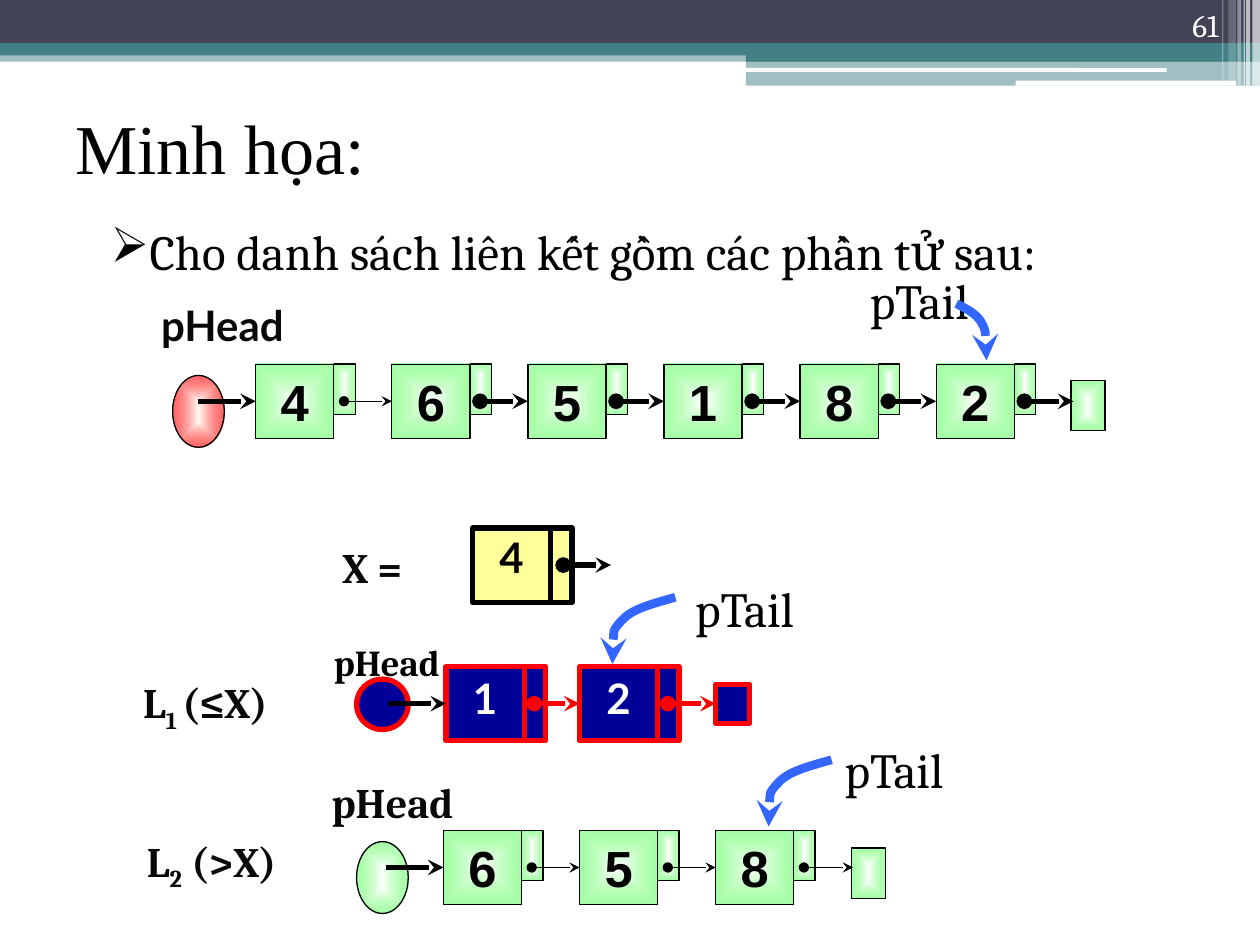
from collections import namedtuple

from lxml.etree import SubElement
from pptx import Presentation
from pptx.dml.color import RGBColor
from pptx.enum.shapes import MSO_CONNECTOR, MSO_SHAPE
from pptx.enum.text import MSO_ANCHOR, PP_ALIGN
from pptx.oxml import parse_xml
from pptx.oxml.ns import nsdecls, qn
from pptx.util import Inches, Pt

SLIDE_WIDTH, SLIDE_HEIGHT = Inches(10), Inches(7.5)
COLUMN, ROW = SLIDE_WIDTH / 10, SLIDE_HEIGHT / 7.5

BLACK = RGBColor(0x00, 0x00, 0x00)
INK = RGBColor(0x08, 0x08, 0x08)
WHITE = RGBColor(0xFF, 0xFF, 0xFF)
IVORY = RGBColor(0xFF, 0xFF, 0xF7)
SLATE = RGBColor(0x42, 0x44, 0x56)
TEAL = RGBColor(0x43, 0x80, 0x86)
GREEN = RGBColor(0x69, 0xFF, 0x69)
RED = RGBColor(0xFF, 0x00, 0x00)
NAVY = RGBColor(0x00, 0x00, 0x99)
YELLOW = RGBColor(0xFF, 0xFF, 0x99)
BLUE = RGBColor(0x33, 0x66, 0xFF)

Style = namedtuple("Style", "fill edge weight font size ink pointer_height margins")
GREEN_NODE = Style((WHITE, GREEN), BLACK, 0.75, "Arial", 29, BLACK, 0.4, (0.1, 0.05))
NAVY_NODE = Style(NAVY, RED, 3, "Lato", 24, WHITE, 0.59, (0.1, 0.05))
YELLOW_NODE = Style(YELLOW, BLACK, 3, "Lato", 24, BLACK, 0.59, (0, 0.03))

NODE_WIDTH, NODE_HEIGHT, POINTER_WIDTH = 0.62, 0.59, 0.17
ARROW_START, ARROW_END = 0.7, 1.09
MIDDLE = NODE_HEIGHT / 2

BEND_RIGHT = [(0.08, 0.04), (0.16, 0.08), (0.2, 0.15), (0.24, 0.23), (0.24, 0.34), (0.24, 0.45)]
BEND_LEFT = [(-0.17, 0.05), (-0.34, 0.09), (-0.42, 0.18), (-0.51, 0.27), (-0.5, 0.4), (-0.5, 0.53)]

BANDS = [
    (0, 0.4, 10, 0.09, TEAL, 50), (0, 0, 10, 0.34, SLATE, 100),
    (0, 0.34, 10, 0.1, TEAL, 100), (5.92, 0.39, 4.08, 0.1, TEAL, 100),
    (5.92, 0.48, 4.08, 0.2, TEAL, 50),
]
RULES = [(5.91, 0.54, 3.35, 0.03), (8.06, 0.64, 1.75, 0.04)]
STRIPES = [
    (9.94, 0.06, 0.68, 65), (9.89, 0.03, 0.68, 65), (9.87, 0.01, 0.68, 60),
    (9.82, 0.03, 0.68, 40), (9.75, 0.06, 0.64, 20), (9.7, 0.01, 0.64, 30),
]


def place(*lengths):
    return [round(length * unit) for length, unit in zip(lengths, (COLUMN, ROW) * 2)]


def set_gradient(shape, inner, outer):
    shape.fill.gradient()
    properties = shape.element.spPr
    properties.replace(properties.find(qn("a:gradFill")), parse_xml(
        f'<a:gradFill {nsdecls("a")} rotWithShape="1"><a:gsLst>'
        f'<a:gs pos="0"><a:srgbClr val="{inner}"/></a:gs>'
        f'<a:gs pos="100000"><a:srgbClr val="{outer}"><a:alpha val="60000"/></a:srgbClr></a:gs>'
        '</a:gsLst><a:path path="shape">'
        '<a:fillToRect l="50000" t="50000" r="50000" b="50000"/></a:path></a:gradFill>'))


def add_box(shapes, kind, spot, fill, edge=None, weight=0, opacity=100):
    box = shapes.add_shape(kind, *place(*spot))
    box.shadow.inherit = False
    if isinstance(fill, RGBColor):
        box.fill.solid()
        box.fill.fore_color.rgb = fill
    else:
        set_gradient(box, *fill)
    if opacity < 100:
        color = box.element.spPr.find(qn("a:solidFill"))[0]
        SubElement(color, qn("a:alpha")).set("val", str(opacity * 1000))
    if edge is None:
        box.line.fill.background()
    else:
        box.line.color.rgb = edge
        box.line.width = Pt(weight)
    return box


def write(box, spans, font, size, ink, bold=False, align=PP_ALIGN.CENTER,
          anchor=MSO_ANCHOR.TOP, margins=(0, 0)):
    frame = box.text_frame
    frame.word_wrap = True
    frame.vertical_anchor = anchor
    frame.margin_left = frame.margin_right = Inches(margins[0])
    frame.margin_top = frame.margin_bottom = Inches(margins[1])
    para = frame.paragraphs[0]
    para.alignment = align
    for text, baseline in spans:
        span = para.add_run()
        span.text = text
        span.font.name = font
        span.font.size = Pt(size)
        span.font.bold = bold
        span.font.color.rgb = ink
        if baseline:
            span._r.get_or_add_rPr().set("baseline", str(baseline * 1000))
    return para


def add_label(shapes, spot, text, size=24, ink=INK, bold=True, font="Cambria", **layout):
    spans = [(text, 0)] if isinstance(text, str) else text
    return write(shapes.add_textbox(*place(*spot)), spans, font, size, ink, bold, **layout)


def draw_line(shape, color, weight, head=None):
    shape.line.color.rgb = color
    shape.line.width = Pt(weight)
    outline = shape.element.spPr.find(qn("a:ln"))
    if head:
        SubElement(outline, qn("a:headEnd")).set("type", head)
    SubElement(outline, qn("a:tailEnd")).set("type", "stealth")


def add_arrow(shapes, start, end, top, color, weight, head=None, target=None):
    arrow = shapes.add_connector(MSO_CONNECTOR.STRAIGHT, *place(start, top, end, top))
    SubElement(arrow.element.spPr, qn("a:effectLst"))
    draw_line(arrow, color, weight, head)
    if target is not None:
        arrow.end_connect(target, 1)


def add_bend(shapes, left, top, controls):
    builder = shapes.build_freeform(*place(left, top))
    builder.add_line_segments([place(left + x, top + y) for x, y in controls], close=False)
    bend = builder.convert_to_shape()
    bend.shadow.inherit = False
    bend.fill.background()
    draw_line(bend, BLUE, 5)
    outline = next(bend.element.iter(qn("a:path")))
    segments = outline.findall(qn("a:lnTo"))
    for first in range(0, len(segments), 3):
        curve = SubElement(outline, qn("a:cubicBezTo"))
        for segment in segments[first:first + 3]:
            curve.append(segment[0])
            outline.remove(segment)


def add_node(shapes, left, top, value, style):
    look = style.fill, style.edge, style.weight
    add_box(shapes, MSO_SHAPE.RECTANGLE,
            (left + NODE_WIDTH, top, POINTER_WIDTH, style.pointer_height), *look)
    cell = add_box(shapes, MSO_SHAPE.RECTANGLE, (left, top, NODE_WIDTH, NODE_HEIGHT), *look)
    write(cell, [(value, 0)], style.font, style.size, style.ink, True, margins=style.margins)
    return cell


def add_list(shapes, left, top, pitch, values, style, weights, head, end):
    look = style.edge, style.weight
    head_left, head_top, head_height, head_fill = head
    end_left, end_top, end_height = end
    add_box(shapes, MSO_SHAPE.OVAL, (head_left, top + head_top, 0.41, head_height),
            head_fill, *look)
    lefts = [left + pitch * index for index in range(len(values))]
    cells = [add_node(shapes, x, top, value, style) for x, value in zip(lefts, values)]
    end_box = add_box(shapes, MSO_SHAPE.RECTANGLE,
                      (end_left, top + end_top, 0.27, end_height), style.fill, *look)
    middle = top + MIDDLE
    add_arrow(shapes, left - 0.46, left, middle, BLACK, 3, target=cells[0])
    last_target = end_box if style is NAVY_NODE else None
    for x, target, weight in zip(lefts, cells[1:] + [last_target], weights):
        add_arrow(shapes, x + ARROW_START, x + ARROW_END, middle, style.edge, weight,
                  "oval", target)


def add_tail(shapes, spot, bend_start, controls):
    add_label(shapes, spot, "pTail", 28, BLACK, False)
    add_bend(shapes, *bend_start, controls)


def add_header(shapes):
    for *spot, color, opacity in BANDS:
        add_box(shapes, MSO_SHAPE.RECTANGLE, spot, color, opacity=opacity)
    for spot in RULES:
        add_box(shapes, MSO_SHAPE.ROUNDED_RECTANGLE, spot, WHITE)
    for left, width, height, opacity in STRIPES:
        add_box(shapes, MSO_SHAPE.RECTANGLE, (left, 0, width, height), WHITE, opacity=opacity)
    add_label(shapes, (8.94, 0, 0.83, 0.4), "61", 18, WHITE, False, align=PP_ALIGN.RIGHT,
              anchor=MSO_ANCHOR.BOTTOM, margins=(0.1, 0.05))


def add_heading(shapes):
    add_label(shapes, (0.5, 0.58, 9, 1.17), "Minh họa:", 40, BLACK, False, "Times New Roman",
              align=PP_ALIGN.LEFT, anchor=MSO_ANCHOR.MIDDLE, margins=(0.1, 0.05))
    para = add_label(shapes, (0.78, 1.71, 8.92, 0.57),
                     "Cho danh sách liên kết gồm các phần tử sau:", 28, BLACK, False,
                     align=PP_ALIGN.LEFT, margins=(0.1, 0.05))
    properties = para._p.get_or_add_pPr()
    properties.set("marL", str(Inches(0.3)))
    properties.set("indent", str(-Inches(0.3)))
    SubElement(properties, qn("a:buChar")).set("char", "➢")


def main():
    deck = Presentation()
    deck.slide_width, deck.slide_height = SLIDE_WIDTH, SLIDE_HEIGHT
    page = deck.slides.add_slide(deck.slide_layouts[6])
    add_header(page.shapes)
    add_heading(page.shapes)

    add_list(page.shapes, 2.03, 2.89, 1.08, "465182", GREEN_NODE, [0.75] + [3] * 5,
             (1.37, 0.09, 0.57, (IVORY, RED)), (8.5, 0.13, 0.4))
    add_label(page.shapes, (1.22, 2.38, 1.09, 0.46), "pHead", font="Lato")
    add_tail(page.shapes, (6.75, 2.15, 1.09, 0.35), (7.59, 2.41), BEND_RIGHT)

    pivot = page.shapes.add_group_shape().shapes
    add_label(pivot, (2.56, 4.3, 0.79, 0.43), "X =")
    add_node(pivot, 3.75, 4.19, "4", YELLOW_NODE)
    add_arrow(pivot, 4.47, 4.85, 4.19 + MIDDLE, BLACK, 3, "oval")

    lower = page.shapes.add_group_shape().shapes
    add_list(lower, 3.54, 5.29, 1.06, "12", NAVY_NODE, [3] * 2,
             (2.83, 0.1, 0.4, NAVY), (5.68, 0.14, 0.31))
    add_label(lower, (0.95, 5.37, 1.36, 0.45), [("L", 0), ("1 ", -25), ("(≤X)", 0)])
    add_label(lower, (2.38, 4.74, 1.38, 0.71), [("pHead", -25)], 36, BLACK)
    add_tail(lower, (5.36, 4.59, 1.1, 0.42), (5.36, 4.74), BEND_LEFT)

    upper = page.shapes.add_group_shape().shapes
    add_list(upper, 3.52, 6.59, 1.08, "658", GREEN_NODE, [0.75] * 3,
             (2.83, 0.09, 0.57, GREEN_NODE.fill), (6.76, 0.14, 0.4))
    add_label(upper, (1, 6.63, 1.36, 0.41), [("L", 0), ("2", -25), (" (>X)", 0)])
    add_label(upper, (2.46, 6.16, 1.31, 0.47), "pHead")
    add_tail(upper, (6.6, 5.87, 0.99, 0.43), (6.6, 6.03), BEND_LEFT)

    deck.save("out.pptx")


if __name__ == "__main__":
    main()
